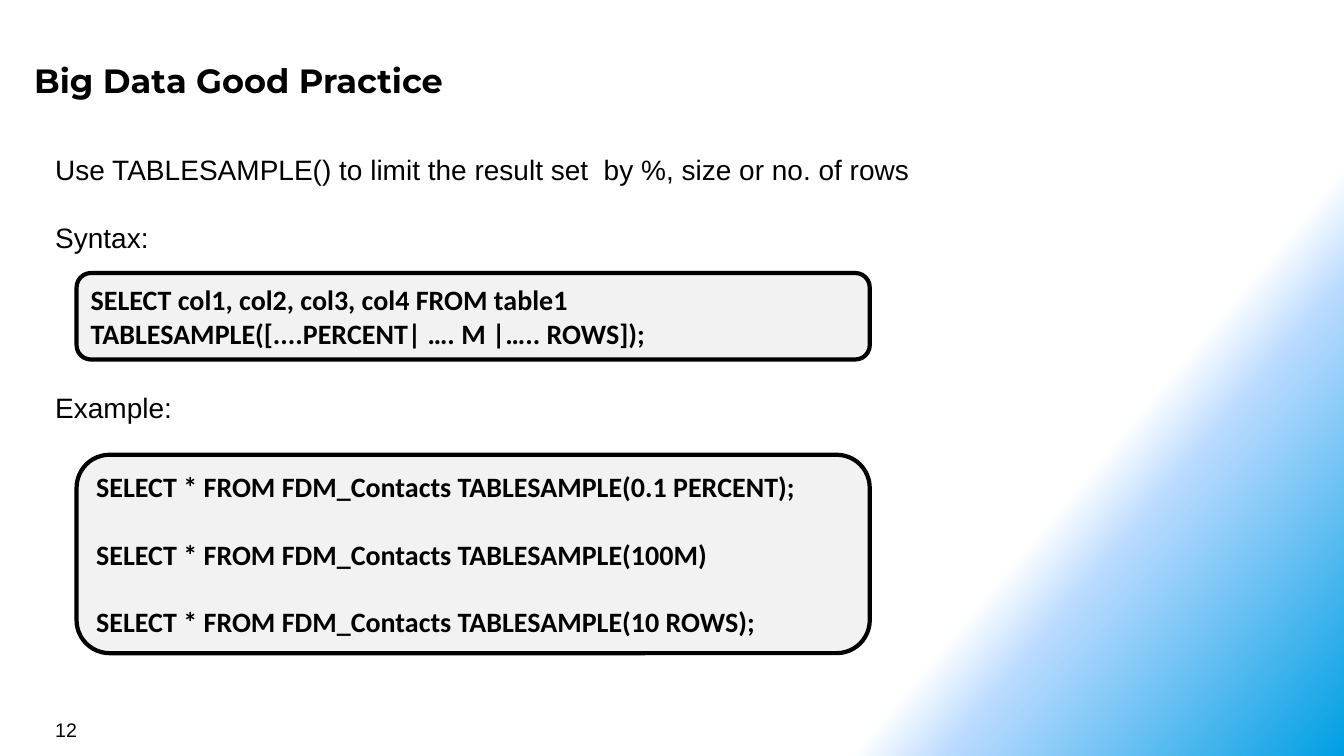
from lxml.etree import SubElement
from pptx import Presentation
from pptx.dml.color import RGBColor
from pptx.enum.shapes import MSO_SHAPE
from pptx.enum.text import MSO_ANCHOR, PP_ALIGN
from pptx.oxml.ns import qn
from pptx.util import Cm, Pt

COLORS = {"text": "000000", "panel": "F2F2F2", "white": "FFFFFF", "pale": "B9DAFF", "blue": "009FE3"}


def write(shape, lines, font_name, size, bold=False, anchor=MSO_ANCHOR.TOP):
    frame = shape.text_frame
    frame.word_wrap = True
    frame.vertical_anchor = anchor
    for index, (text, space_before) in enumerate(lines):
        paragraph = frame.add_paragraph() if index else frame.paragraphs[0]
        paragraph.alignment = PP_ALIGN.LEFT
        if space_before:
            paragraph.space_before = Pt(space_before)
        run = paragraph.add_run()
        run.text = text
        run.font.name = font_name
        run.font.size = Pt(size)
        run.font.bold = bold
        run.font.color.rgb = RGBColor.from_string(COLORS["text"])


presentation = Presentation()
presentation.slide_width = Cm(33.87)
presentation.slide_height = Cm(19.05)
slide = presentation.slides.add_slide(presentation.slide_layouts[6])

background = slide.background.fill
background.gradient()
background.gradient_angle = 320
stop_list = background.gradient_stops[0]._gs.getparent()
for stop in list(stop_list):
    stop_list.remove(stop)
for percent, name in [(75, "white"), (80, "pale"), (100, "blue")]:
    stop = SubElement(stop_list, qn("a:gs"), pos=str(percent * 1000))
    SubElement(stop, qn("a:srgbClr"), val=COLORS[name])

title = slide.shapes.add_textbox(Cm(0.66), Cm(1.3), Cm(31.14), Cm(1.4))
frame = title.text_frame
frame.margin_left = frame.margin_right = frame.margin_top = frame.margin_bottom = Cm(0.2)
write(title, [("Big Data Good Practice", 0)], "Montserrat", 24, bold=True)

page_number = slide.shapes.add_textbox(Cm(1.14), Cm(17.96), Cm(7.9), Cm(0.84))
write(page_number, [("12", 0)], "Arial", 14)

body = slide.shapes.add_textbox(Cm(1.14), Cm(3.73), Cm(22.91), Cm(7.09))
body_lines = [
    ("Use TABLESAMPLE() to limit the result set  by %, size or no. of rows", 0),
    ("Syntax:", 24.4),
    ("Example:", 97.6),
]
write(body, body_lines, "Arial", 20)

example_lines = [
    ("SELECT * FROM FDM_Contacts TABLESAMPLE(0.1 PERCENT);", 0),
    ("SELECT * FROM FDM_Contacts TABLESAMPLE(100M)", 24),
    ("SELECT * FROM FDM_Contacts TABLESAMPLE(10 ROWS);", 24),
]
syntax_lines = [
    ("SELECT col1, col2, col3, col4 FROM table1", 0),
    ("TABLESAMPLE([....PERCENT| …. M |….. ROWS]);", 0),
]
for top, height, lines in [(11.46, 5, example_lines), (6.88, 2.18, syntax_lines)]:
    panel = slide.shapes.add_shape(
        MSO_SHAPE.ROUNDED_RECTANGLE, Cm(1.93), Cm(top), Cm(19.99), Cm(height)
    )
    panel.shadow.inherit = False
    panel.fill.solid()
    panel.fill.fore_color.rgb = RGBColor.from_string(COLORS["panel"])
    panel.line.color.rgb = RGBColor.from_string(COLORS["text"])
    panel.line.width = Pt(3)
    write(panel, lines, "Calibri", 20, bold=True, anchor=MSO_ANCHOR.MIDDLE)

presentation.save("out.pptx")
